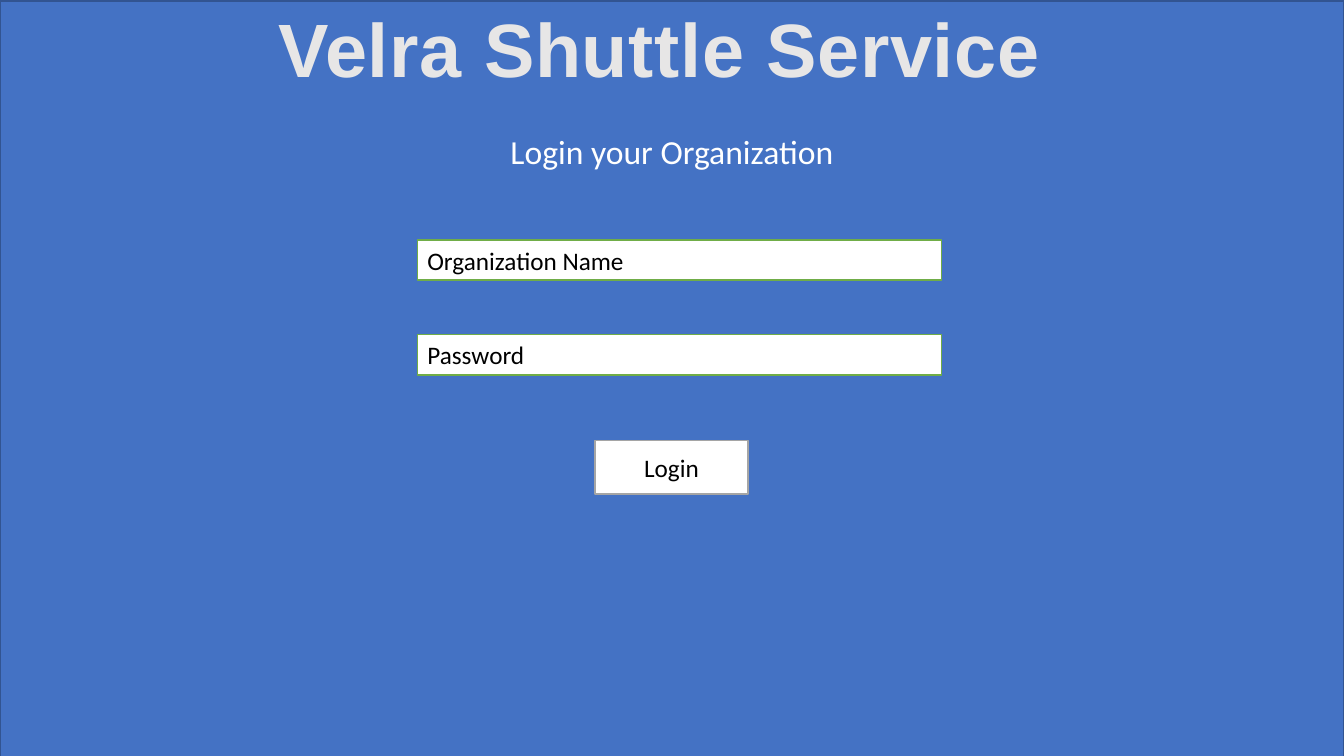
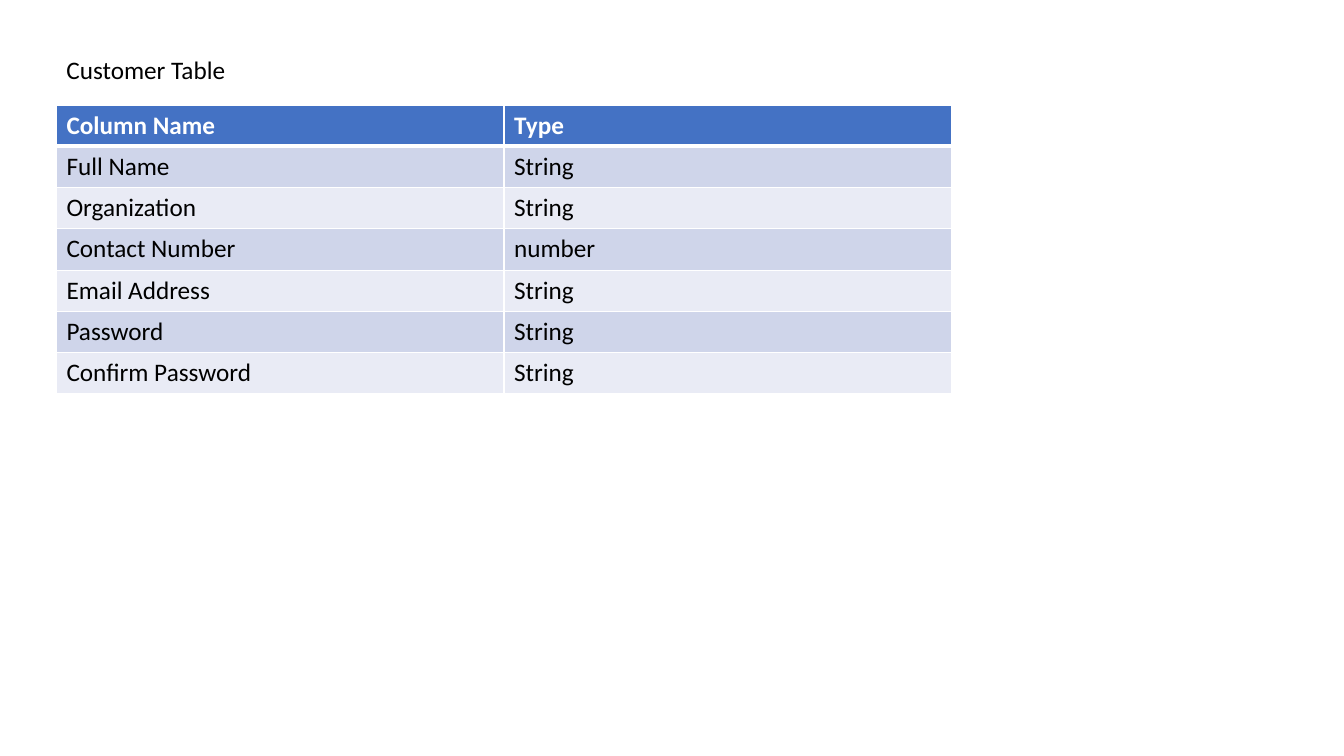
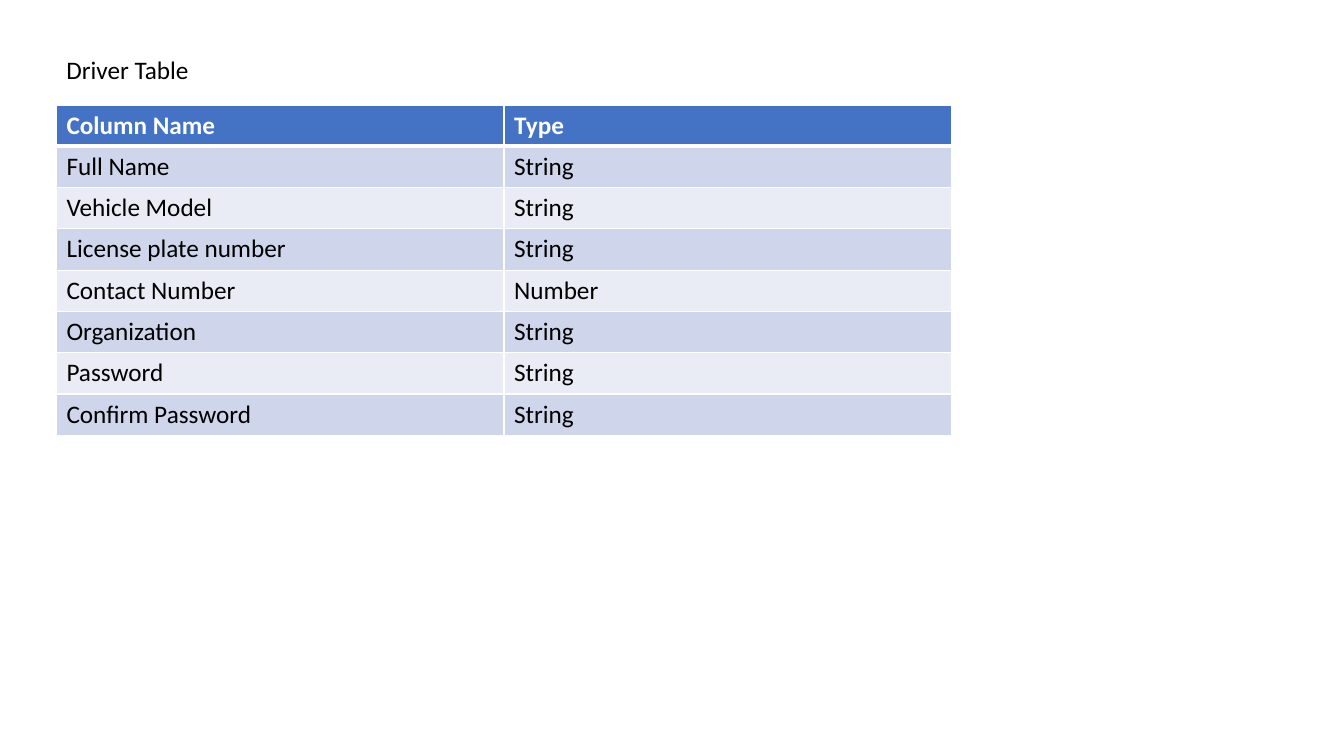
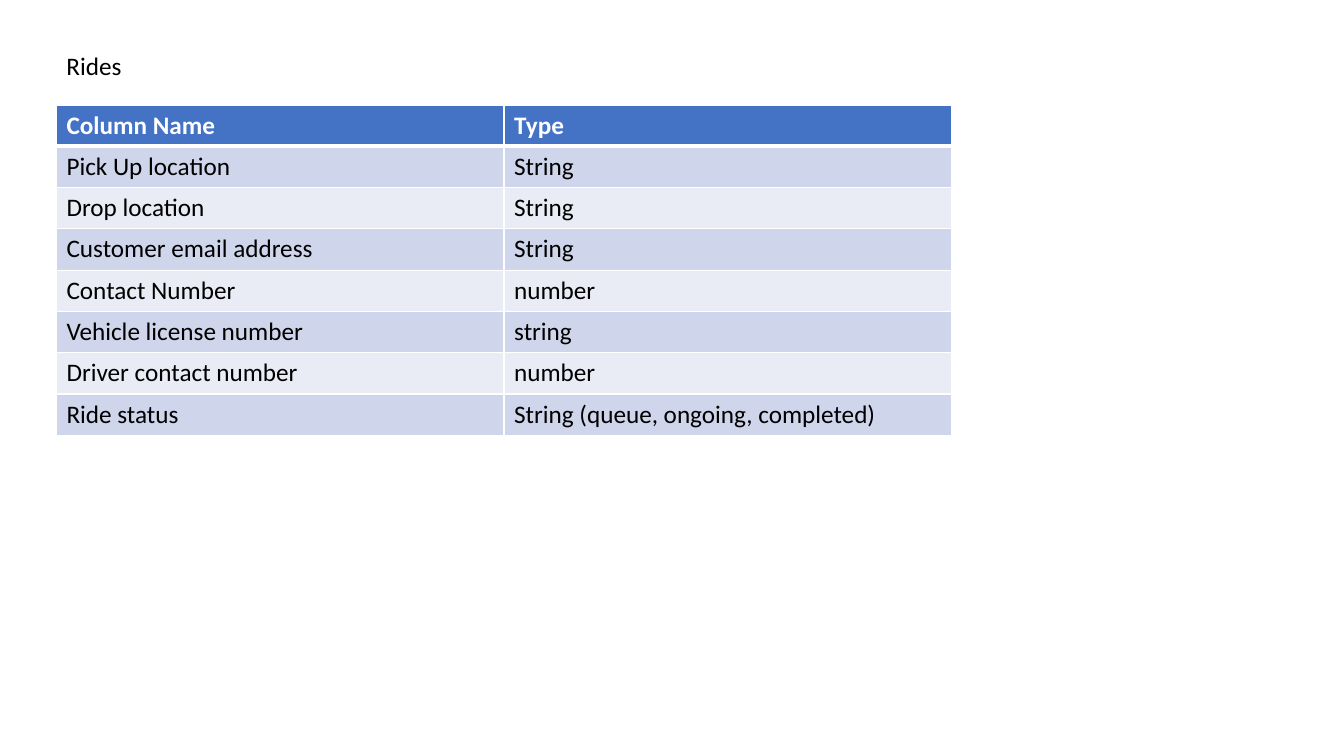
import pptx
import pptx.dml.color
import pptx.enum.shapes
import pptx.enum.text
import pptx.oxml
import pptx.oxml.ns
import pptx.util
from pptx.dml.color import RGBColor
from pptx.enum.text import MSO_ANCHOR, PP_ALIGN
from pptx.util import Inches, Pt

BLUE = RGBColor(0x44, 0x72, 0xC4)
NAVY = RGBColor(0x32, 0x54, 0x91)
GREEN = RGBColor(0x70, 0xAD, 0x47)
GRAY = RGBColor(0xA5, 0xA5, 0xA5)
SILVER = RGBColor(0xE7, 0xE6, 0xE6)
BAND_DARK = RGBColor(0xCF, 0xD5, 0xEA)
BAND_LIGHT = RGBColor(0xE9, 0xEB, 0xF5)
WHITE = RGBColor(0xFF, 0xFF, 0xFF)
BLACK = RGBColor(0x00, 0x00, 0x00)

SLIDE_W, SLIDE_H = 13.33, 7.5
TABLE_LEFT, TABLE_TOP = 0.56, 1.05
COL_W, HEADER_H, ROW_H = 4.44, 0.4, 0.41
HEADER = ("Column Name", "Type")

CUSTOMER = [
    ("Full Name", "String"),
    ("Organization", "String"),
    ("Contact Number", "number"),
    ("Email Address", "String"),
    ("Password", "String"),
    ("Confirm Password", "String"),
]
DRIVER = [
    ("Full Name", "String"),
    ("Vehicle Model", "String"),
    ("License plate number", "String"),
    ("Contact Number", "Number"),
    ("Organization", "String"),
    ("Password", "String"),
    ("Confirm Password", "String"),
]
RIDES = [
    ("Pick Up location", "String"),
    ("Drop location", "String"),
    ("Customer email address", "String"),
    ("Contact Number", "number"),
    ("Vehicle license number", "string"),
    ("Driver contact number", "number"),
    ("Ride status", "String (queue, ongoing, completed)"),
]


def add_slide(prs):
    return prs.slides.add_slide(prs.slide_layouts[6])


def write(tf, text, size=18, color=BLACK, font="Calibri", bold=False, align=PP_ALIGN.LEFT):
    p = tf.paragraphs[0]
    p.alignment = align
    r = p.add_run()
    r.text = text
    r.font.name = font
    r.font.size = Pt(size)
    r.font.bold = bold
    r.font.color.rgb = color
    return r


def add_text(s, x, y, w, h, text, **style):
    tf = s.shapes.add_textbox(Inches(x), Inches(y), Inches(w), Inches(h)).text_frame
    tf.word_wrap = True
    tf.auto_size = pptx.enum.text.MSO_AUTO_SIZE.SHAPE_TO_FIT_TEXT
    return write(tf, text, **style)


def add_box(s, x, y, w, h, fill, line, text="", align=PP_ALIGN.LEFT):
    sp = s.shapes.add_shape(pptx.enum.shapes.MSO_SHAPE.RECTANGLE,
                            Inches(x), Inches(y), Inches(w), Inches(h))
    sp.shadow.inherit = False
    sp.fill.solid()
    sp.fill.fore_color.rgb = fill
    sp.line.color.rgb = line
    sp.line.width = Pt(1)
    if text:
        sp.text_frame.vertical_anchor = MSO_ANCHOR.MIDDLE
        write(sp.text_frame, text, align=align)


def set_borders(cell, top, bottom):
    tc_pr = cell._tc.get_or_add_tcPr()
    for side, width in (("L", 1), ("R", 1), ("T", top), ("B", bottom)):
        tc_pr.append(pptx.oxml.parse_xml(
            f'<a:ln{side} {pptx.oxml.ns.nsdecls("a")} w="{Pt(width)}">'
            f'<a:solidFill><a:srgbClr val="{WHITE}"/></a:solidFill></a:ln{side}>'))


def add_schema_table(s, rows):
    height = HEADER_H + ROW_H * len(rows)
    table = s.shapes.add_table(len(rows) + 1, len(HEADER), Inches(TABLE_LEFT), Inches(TABLE_TOP),
                               Inches(COL_W * len(HEADER)), Inches(height)).table
    for col in table.columns:
        col.width = Inches(COL_W)
    for i, values in enumerate([HEADER] + rows):
        is_header = i == 0
        table.rows[i].height = Inches(HEADER_H if is_header else ROW_H)
        fill = BLUE if is_header else BAND_DARK if i % 2 else BAND_LIGHT
        for j, value in enumerate(values):
            cell = table.cell(i, j)
            set_borders(cell, top=3 if i == 1 else 1, bottom=3 if is_header else 1)
            cell.fill.solid()
            cell.fill.fore_color.rgb = fill
            write(cell.text_frame, value, color=WHITE if is_header else BLACK, bold=is_header)


def add_login_slide(prs):
    s = add_slide(prs)
    add_box(s, 0, 0.01, SLIDE_W, SLIDE_H, BLUE, NAVY)
    add_text(s, 0, 1.25, SLIDE_W, 0.5, "Login your Organization",
             size=24, color=WHITE, align=PP_ALIGN.CENTER)
    for i, label in enumerate(("Organization Name", "Password")):
        add_box(s, 4.14, 2.38 + 0.94 * i, 5.2, 0.4, WHITE, GREEN, label)
    add_box(s, 5.9, 4.37, 1.52, 0.53, WHITE, GRAY, "Login", PP_ALIGN.CENTER)
    r = add_text(s, 0, -0.03, 13.3, 1.01, "Velra Shuttle Service ", size=54, color=SILVER,
                 font="Arial", bold=True, align=PP_ALIGN.CENTER)
    r.font._element.set("spc", "50")


def add_schema_slide(prs, title, rows, title_top=0.49):
    s = add_slide(prs)
    add_schema_table(s, rows)
    add_text(s, TABLE_LEFT, title_top, 2.55, 0.4, title)


def main():
    prs = pptx.Presentation()
    prs.slide_width = Inches(SLIDE_W)
    prs.slide_height = Inches(SLIDE_H)
    add_login_slide(prs)
    add_schema_slide(prs, "Customer Table", CUSTOMER)
    add_schema_slide(prs, "Driver Table", DRIVER)
    add_schema_slide(prs, "Rides", RIDES, title_top=0.45)
    prs.save("out.pptx")


if __name__ == "__main__":
    main()
